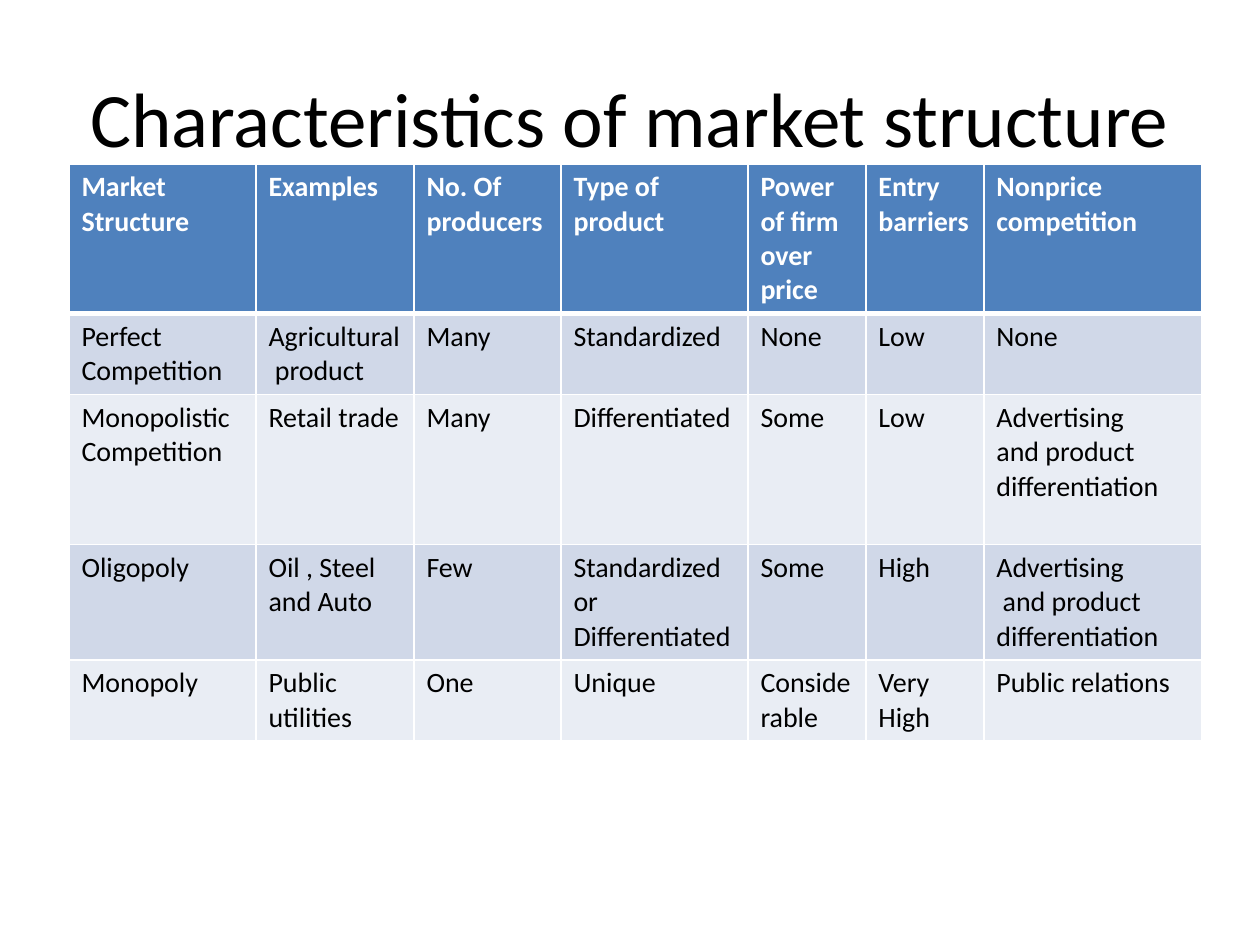
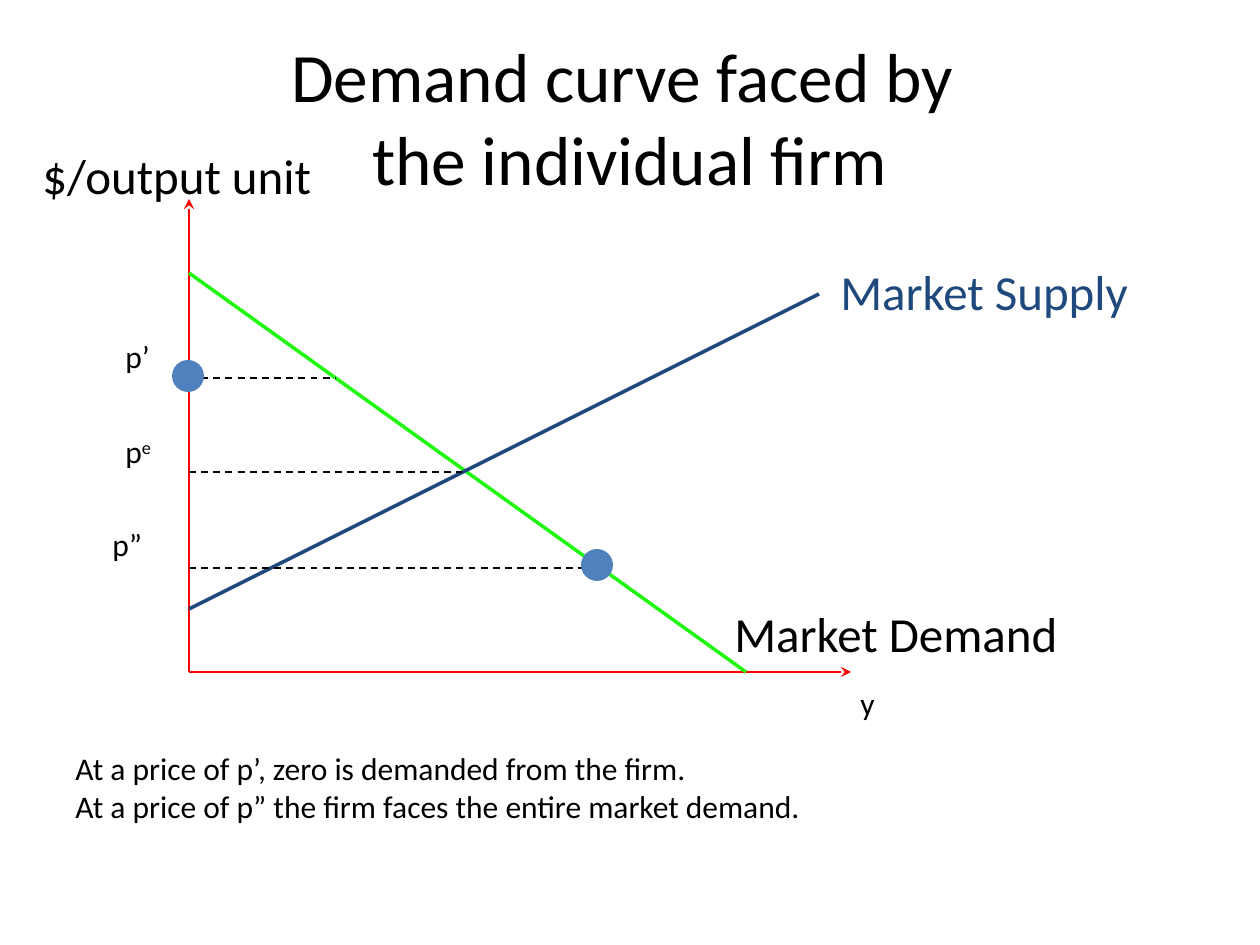
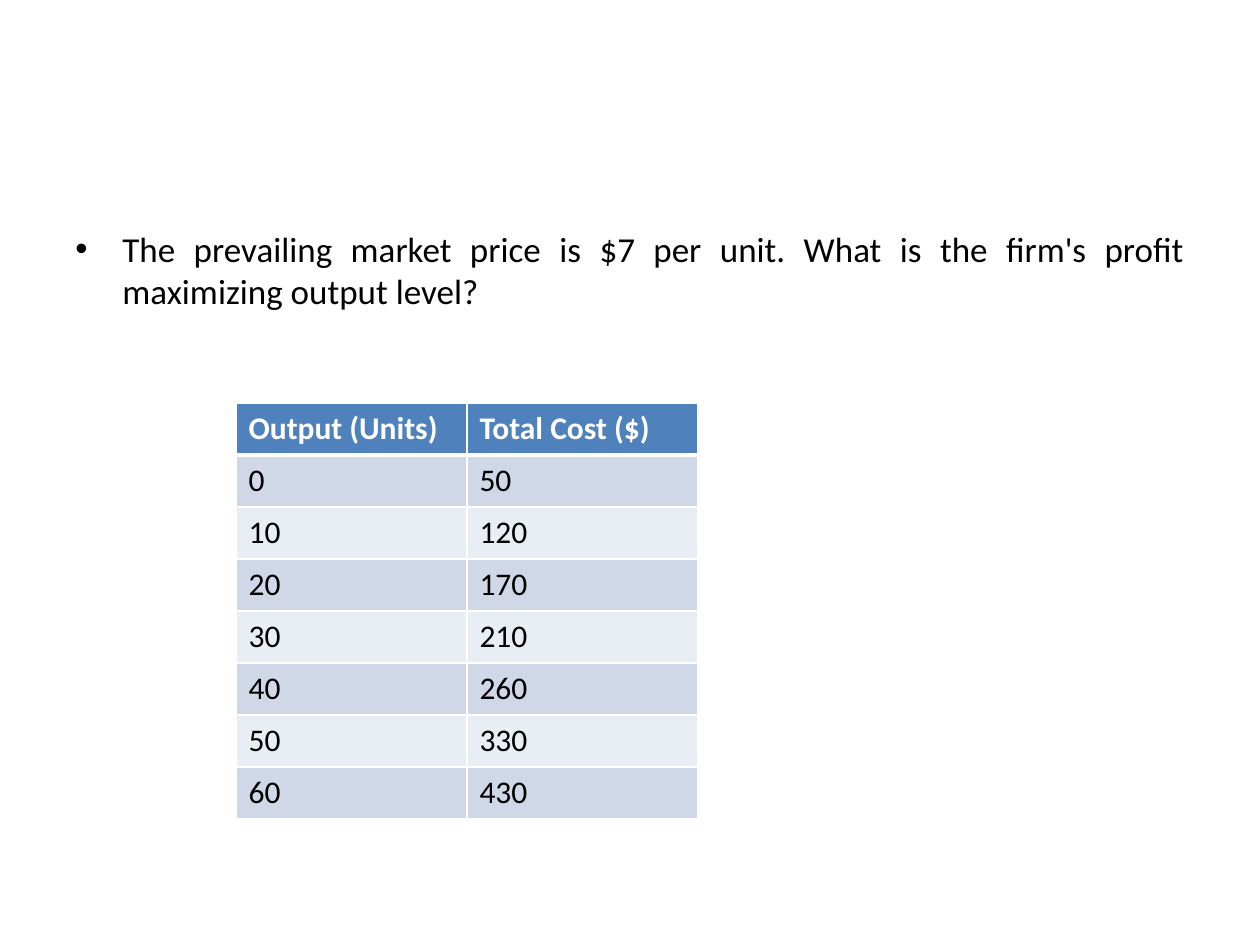
from lxml.etree import SubElement
from pptx import Presentation
from pptx.dml.color import RGBColor
from pptx.enum.dml import MSO_LINE
from pptx.enum.shapes import MSO_CONNECTOR, MSO_SHAPE
from pptx.enum.text import MSO_ANCHOR, MSO_AUTO_SIZE, PP_ALIGN
from pptx.oxml.ns import qn
from pptx.util import Emu, Pt

FONT = "Calibri"
BLACK, WHITE, RED, GREEN = "000000", "FFFFFF", "FF0000", "20F90F"
NAVY, BLUE = "1F497D", "4F81BD"
BANDS = ("D0D8E8", "E9EDF4")
TITLE_ONLY, BLANK = 5, 6


def px(n):
    return Emu(round(n * 914400 / 126))


def rgb(value):
    return RGBColor.from_string(value)


class Deck:
    def __init__(self):
        self.prs = Presentation()
        self.prs.slide_width, self.prs.slide_height = px(1260), px(945)

    def slide(self, title=None, size=44):
        layout = BLANK if title is None else TITLE_ONLY
        self.s = self.prs.slides.add_slide(self.prs.slide_layouts[layout])
        if title is not None:
            sp = self.s.shapes.title
            place = dict(left=63, top=38, width=1134, height=157)
            for name, value in place.items():
                setattr(sp, name, px(value))
            tf = sp.text_frame
            tf.auto_size = MSO_AUTO_SIZE.NONE
            tf.vertical_anchor = MSO_ANCHOR.MIDDLE
            self.fill_text(tf, title, size, align=PP_ALIGN.CENTER)

    def fill_text(self, tf, text, size, color=BLACK, bold=False, align=PP_ALIGN.LEFT):
        tf.text = text
        style = dict(name=FONT, size=Pt(size), bold=bold)
        for p in tf.paragraphs:
            p.alignment = align
            for r in p.runs:
                for name, value in style.items():
                    setattr(r.font, name, value)
                r.font.color.rgb = rgb(color)

    def text(self, x, y, w, h, text, size=18, color=BLACK, align=PP_ALIGN.LEFT):
        tf = self.s.shapes.add_textbox(px(x), px(y), px(w), px(h)).text_frame
        tf.word_wrap = True
        self.fill_text(tf, text, size, color, align=align)
        return tf

    def superscript(self, tf, text, size=18):
        r = tf.paragraphs[0].add_run()
        r.text = text
        r.font.name, r.font.size = FONT, Pt(size)
        r.font.color.rgb = rgb(BLACK)
        r._r.get_or_add_rPr().set("baseline", "30000")

    def bullet(self, x, y, w, h, text, size):
        p = self.text(x, y, w, h, text, size, align=PP_ALIGN.JUSTIFY).paragraphs[0]
        p.space_before = Pt(4)
        pPr = p._p.get_or_add_pPr()
        pPr.set("marL", str(px(47)))
        pPr.set("indent", str(-px(47)))
        SubElement(pPr, qn("a:buFont"), typeface="Arial")
        SubElement(pPr, qn("a:buChar"), char="•")

    def line(self, x1, y1, x2, y2, color=BLACK, width=1, dash=False, arrow=False):
        c = self.s.shapes.add_connector(
            MSO_CONNECTOR.STRAIGHT, px(x1), px(y1), px(x2), px(y2))
        c.line.color.rgb = rgb(color)
        c.line.width = Pt(width)
        if dash:
            c.line.dash_style = MSO_LINE.DASH
        spPr = c._element.spPr
        if arrow:
            SubElement(spPr.find(qn("a:ln")), qn("a:tailEnd"), type="stealth")
        SubElement(spPr, qn("a:effectLst"))

    def dot(self, cx, cy, d=32):
        sp = self.s.shapes.add_shape(
            MSO_SHAPE.OVAL, px(cx - d / 2), px(cy - d / 2), px(d), px(d))
        sp.shadow.inherit = False
        sp.fill.solid()
        sp.fill.fore_color.rgb = rgb(BLUE)
        sp.line.fill.background()

    def borders(self, cell, top, bottom):
        tcPr = cell._tc.get_or_add_tcPr()
        for tag, width in dict(lnL=1, lnR=1, lnT=top, lnB=bottom).items():
            ln = SubElement(tcPr, qn("a:" + tag), w=str(Pt(width)))
            fill = SubElement(ln, qn("a:solidFill"))
            SubElement(fill, qn("a:srgbClr"), val=WHITE)

    def table(self, x, y, widths, heights, rows, size):
        table = self.s.shapes.add_table(
            len(rows), len(widths), px(x), px(y),
            px(sum(widths)), px(sum(heights))).table
        for column, width in zip(table.columns, widths):
            column.width = px(width)
        for i, (row, height) in enumerate(zip(rows, heights)):
            table.rows[i].height = px(height)
            head = i == 0
            for j, text in enumerate(row):
                cell = table.cell(i, j)
                self.borders(cell, 3 if i == 1 else 1, 3 if head else 1)
                cell.fill.solid()
                cell.fill.fore_color.rgb = rgb(BLUE if head else BANDS[(i - 1) % 2])
                self.fill_text(cell.text_frame, text, size, WHITE if head else BLACK, head)


def market_structures(deck):
    deck.slide("Characteristics of market structure")
    rows = [
        ("Market Structure", "Examples", "No. Of producers", "Type of product",
         "Power of firm over price", "Entry barriers", "Nonprice competition"),
        ("Perfect Competition", "Agricultural\v product", "Many", "Standardized",
         "None", "Low", "None"),
        ("Monopolistic Competition", "Retail trade", "Many", "Differentiated",
         "Some", "Low", "Advertising\nand product differentiation"),
        ("Oligopoly", "Oil , Steel and Auto", "Few", "Standardized or Differentiated",
         "Some", "High", "Advertising\n and product differentiation"),
        ("Monopoly", "Public utilities", "One", "Unique",
         "Considerable", "Very High", "Public relations"),
    ]
    deck.table(69, 164, (187, 158, 147, 187, 118, 118, 218),
               (149, 81, 150, 115, 81), rows, 16)


def demand_curve(deck):
    deck.slide("Demand curve faced by \vthe individual firm", 39.6)
    x0, y0 = 189, 672

    # Axes
    deck.line(x0, y0, x0, 199, RED, arrow=True)
    deck.line(x0, y0, 851, y0, RED, arrow=True)

    # Demand and supply
    deck.line(x0, 273, 746, y0, GREEN, 2)
    deck.line(x0, 609, 819, 294, NAVY, 2)

    # Price levels
    for y, x_end in ((378, 336), (472, 462), (568, 595)):
        deck.line(x0, y, x_end, y, dash=True)
    deck.dot(188, 376)
    deck.dot(597, 565)

    # Labels
    deck.text(113, 331, 76, 79, "p’")
    deck.superscript(deck.text(113, 426, 79, 79, "p"), "e")
    deck.text(100, 519, 87, 79, "p”")
    deck.text(848, 678, 57, 79, "y")
    deck.text(30, 139, 322, 72, "$/output unit", 28)
    deck.text(828, 255, 360, 72, "Market Supply", 28, NAVY)
    deck.text(722, 597, 353, 72, "Market Demand", 28)
    deck.text(63, 743, 1197, 89,
              "At a price of p’, zero is demanded from the firm.\n"
              "At a price of p” the firm faces the entire market demand.")


def output_exercise(deck):
    deck.slide()
    deck.bullet(63, 221, 1134, 624,
                "The prevailing market price is $7 per unit. "
                "What is the firm's profit maximizing output level?", 20)
    costs = (50, 120, 170, 210, 260, 330, 430)
    rows = [("Output (Units)", "Total Cost ($)")]
    rows += [(str(10 * i), str(cost)) for i, cost in enumerate(costs)]
    deck.table(236, 403, (231, 231), [52] * len(rows), rows, 18)


def main():
    deck = Deck()
    market_structures(deck)
    demand_curve(deck)
    output_exercise(deck)
    deck.prs.save("out.pptx")


if __name__ == "__main__":
    main()
